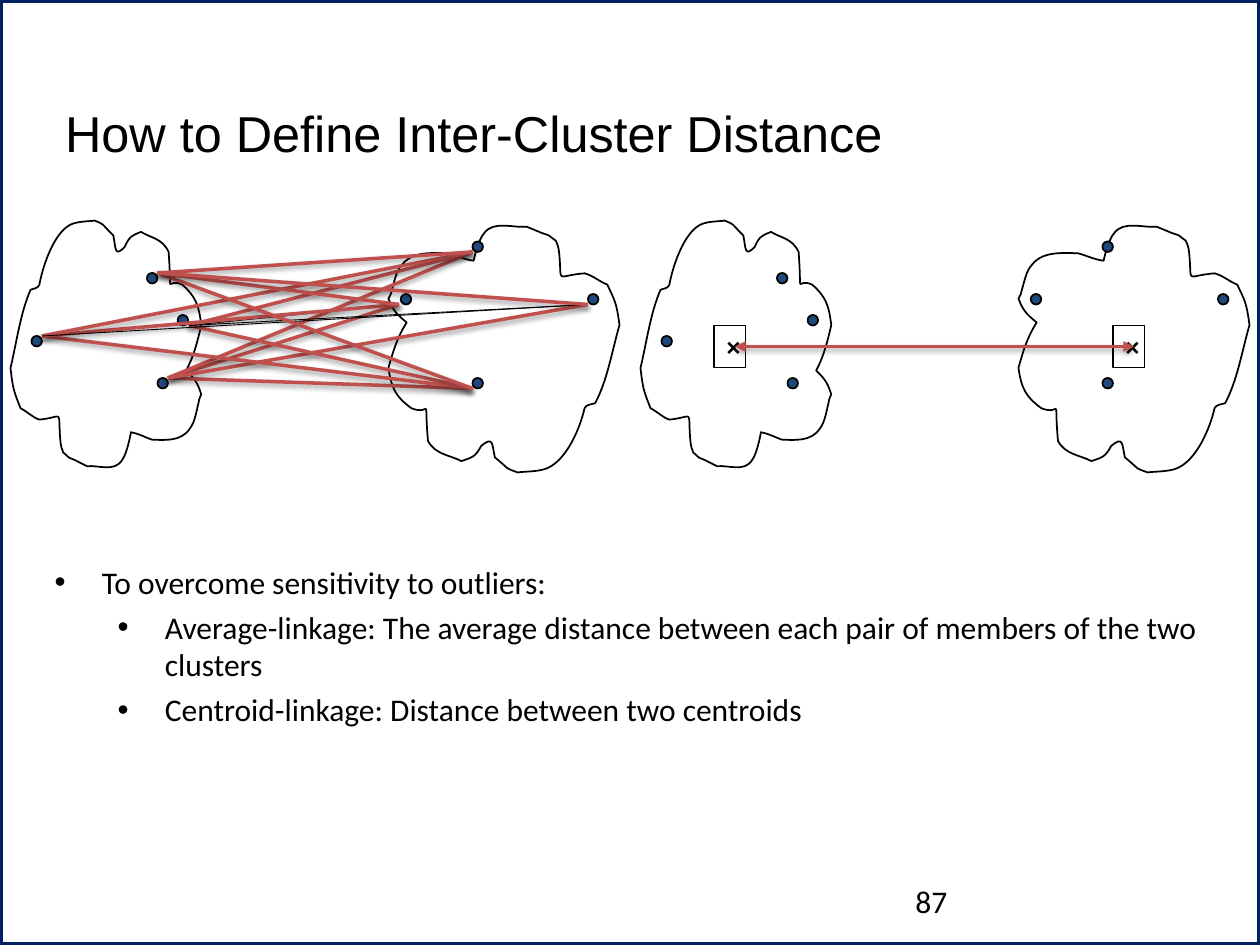
from itertools import product

from lxml.etree import SubElement
from pptx import Presentation
from pptx.dml.color import RGBColor
from pptx.enum.shapes import MSO_CONNECTOR, MSO_SHAPE
from pptx.enum.text import MSO_ANCHOR, MSO_AUTO_SIZE, PP_ALIGN
from pptx.oxml.ns import qn
from pptx.util import Pt

BLACK = RGBColor(0x00, 0x00, 0x00)
NAVY = RGBColor(0x00, 0x20, 0x60)
BLUE = RGBColor(0x1F, 0x49, 0x7D)
RED = RGBColor(0xC0, 0x50, 0x4D)

PANEL = 360
START = (24, 230)
CURVES = [
    (16, 248, 13, 271, 8, 292), (10, 310, 11, 311, 16, 324),
    (22, 327, 25, 331, 31, 333), (52, 331, 45, 323, 48, 352),
    (48, 354, 49, 356, 50, 359), (57, 365, 52, 362, 59, 365),
    (63, 367, 69, 370, 69, 370), (78, 369, 91, 375, 97, 365),
    (101, 360, 104, 343, 104, 343), (110, 344, 115, 347, 121, 349),
    (130, 349, 144, 351, 151, 340), (155, 335, 156, 327, 158, 319),
    (158, 317, 160, 313, 160, 313), (157, 303, 154, 300, 148, 294),
    (154, 283, 157, 271, 160, 258), (158, 241, 155, 235, 145, 226),
    (131, 219, 137, 240, 134, 200), (129, 189, 120, 189, 112, 184),
    (105, 187, 103, 187, 99, 196), (91, 204, 92, 198, 90, 187),
    (79, 176, 84, 179, 75, 175), (71, 176, 59, 175, 53, 180),
    (42, 188, 34, 210, 31, 226), (30, 229, 26, 229, 24, 230),
]
DOTS = [(90, 216), (84, 156), (18, 192), (101.5, 180),
        (336, 168), (229, 168), (270, 216), (270, 138)]
FROM = [(96, 216), (108, 186), (24, 192), (90, 156)]
TO = [(270, 222), (228, 174), (270, 144), (336, 174)]
THIN = {(FROM[1], TO[1]), (FROM[1], TO[3]), (FROM[2], TO[3])}
NOTES = [
    (0, "To overcome sensitivity to outliers:"),
    (1, "Average-linkage: The average distance between each pair of members of the two clusters"),
    (1, "Centroid-linkage: Distance between two centroids"),
]


def move(shape, left, top, wide, high):
    """Set the place and size of a shape in points."""
    shape.left, shape.top = Pt(left), Pt(top)
    shape.width, shape.height = Pt(wide), Pt(high)


def write(para, text, size, face="Calibri", bold=False):
    """Add one black run to a paragraph."""
    para.alignment = PP_ALIGN.LEFT
    run = para.add_run()
    run.text = text
    run.font.size, run.font.name, run.font.bold = Pt(size), face, bold
    run.font.color.rgb = BLACK


def set_frame(shape, anchor):
    """Give a text frame wrapping, a fixed size and even insets."""
    frame = shape.text_frame
    frame.word_wrap, frame.auto_size = True, MSO_AUTO_SIZE.NONE
    frame.vertical_anchor = anchor
    frame.margin_left = frame.margin_right = Pt(7.2)
    frame.margin_top = frame.margin_bottom = Pt(3.6)
    return frame


def ink(shape, color, width, fill=None):
    """Outline a shape and fill it or leave it open."""
    shape.shadow.inherit = False
    shape.line.color.rgb, shape.line.width = color, Pt(width)
    if fill is None:
        shape.fill.background()
    else:
        shape.fill.solid()
        shape.fill.fore_color.rgb = fill


def add_form(slide, kind, left, top, wide, high, color, width, fill=None):
    """Add an outlined preset shape."""
    shape = slide.shapes.add_shape(kind, Pt(left), Pt(top), Pt(wide), Pt(high))
    ink(shape, color, width, fill)
    return shape


def lay(x, y):
    """Turn an outline point onto its side, measured from the corner."""
    return 375 - y, x - 8


def bend(shape):
    """Make each side of a cluster outline a curve."""
    trail = next(shape._element.iter(qn("a:path")))
    trail.set("w", "200")
    trail.set("h", "152")
    first = trail.find(qn("a:moveTo")).find(qn("a:pt"))
    for name, value in zip("xy", lay(*START)):
        first.set(name, str(value))
    for side, row in zip(trail.findall(qn("a:lnTo")), CURVES):
        curve = SubElement(trail, qn("a:cubicBezTo"))
        for spot in zip(row[::2], row[1::2]):
            x, y = lay(*spot)
            SubElement(curve, qn("a:pt"), x=str(x), y=str(y))
        trail.replace(side, curve)


def add_blob(slide, left, top, high, angle):
    """Add a curved cluster outline turned by an angle."""
    form = slide.shapes.build_freeform(*lay(*START), scale=Pt(1))
    form.add_line_segments([lay(*row[4:]) for row in CURVES], close=True)
    blob = form.convert_to_shape()
    bend(blob)
    move(blob, left, top, 144, high)
    blob.rotation = angle
    ink(blob, BLACK, 1)


def add_line(slide, start, end, thin=False, heads=False):
    """Add a thin plain line or a thick red one with a shadow."""
    line = slide.shapes.add_connector(
        MSO_CONNECTOR.STRAIGHT, *(Pt(v) for v in start + end))
    line.line.color.rgb = BLACK if thin else RED
    line.line.width = Pt(0.5 if thin else 2)
    props = line._element.spPr
    if heads:
        for tag in ("a:headEnd", "a:tailEnd"):
            SubElement(props.find(qn("a:ln")), qn(tag), type="triangle")
    effects = SubElement(props, qn("a:effectLst"))
    if not thin:
        shade = SubElement(effects, qn("a:outerShdw"), blurRad=str(Pt(3.1)),
                           dist=str(Pt(1.6)), dir="5400000", rotWithShape="0")
        tone = SubElement(shade, qn("a:srgbClr"), val=str(BLACK))
        SubElement(tone, qn("a:alpha"), val="38000")


def add_pair(slide, shift):
    """Add two clusters with their dots."""
    add_blob(slide, shift - 11.5, 143.5, 109, 270)
    add_blob(slide, shift + 216, 132, 132, 90)
    for left, top in DOTS:
        add_form(slide, MSO_SHAPE.OVAL, left + shift, top, 6, 6, BLACK, 1, BLUE)


def add_cross(slide, left):
    """Add a boxed cross that marks a centroid."""
    box = add_form(slide, MSO_SHAPE.RECTANGLE, left, 186, 18, 24, BLACK, 1)
    frame = set_frame(box, MSO_ANCHOR.TOP)
    write(frame.paragraphs[0], "×", 14, "Arial", True)


def fill_list(body):
    """Write the bullet list into the body."""
    frame = set_frame(body, MSO_ANCHOR.TOP)
    for i, (level, text) in enumerate(NOTES):
        para = frame.add_paragraph() if i else frame.paragraphs[0]
        para.level = level
        para.space_before = para.space_after = Pt(2)
        write(para, text, 18)
        props = para._p.get_or_add_pPr()
        props.set("marL", str(Pt(27 + 36 * level)))
        props.set("indent", str(Pt(-27)))
        SubElement(props, qn("a:buFont"), typeface="Arial")
        SubElement(props, qn("a:buChar"), char="•")


def main():
    """Build the slide and save it."""
    deck = Presentation()
    deck.slide_width, deck.slide_height = Pt(720), Pt(540)
    slide = deck.slides.add_slide(deck.slide_layouts[1])
    title, body = slide.placeholders
    add_form(slide, MSO_SHAPE.RECTANGLE, 0, 0, 720, 540, NAVY, 3.5)

    move(title, 30, 54, 652, 43)
    frame = set_frame(title, MSO_ANCHOR.MIDDLE)
    write(frame.paragraphs[0], "How to Define Inter-Cluster Distance", 28.8, "Arial")
    move(body, 24, 318, 672, 204)
    fill_list(body)

    add_pair(slide, 0)
    for start, end in product(FROM, TO):
        add_line(slide, start, end, (start, end) in THIN)

    add_pair(slide, PANEL)
    for left in (408, 636):
        add_cross(slide, left)
    add_line(slide, (420, 198), (648, 198), heads=True)

    page = slide.shapes.add_textbox(Pt(516), Pt(500.5), Pt(168), Pt(29))
    write(set_frame(page, MSO_ANCHOR.MIDDLE).paragraphs[0], "87", 18)
    deck.save("out.pptx")


if __name__ == "__main__":
    main()
